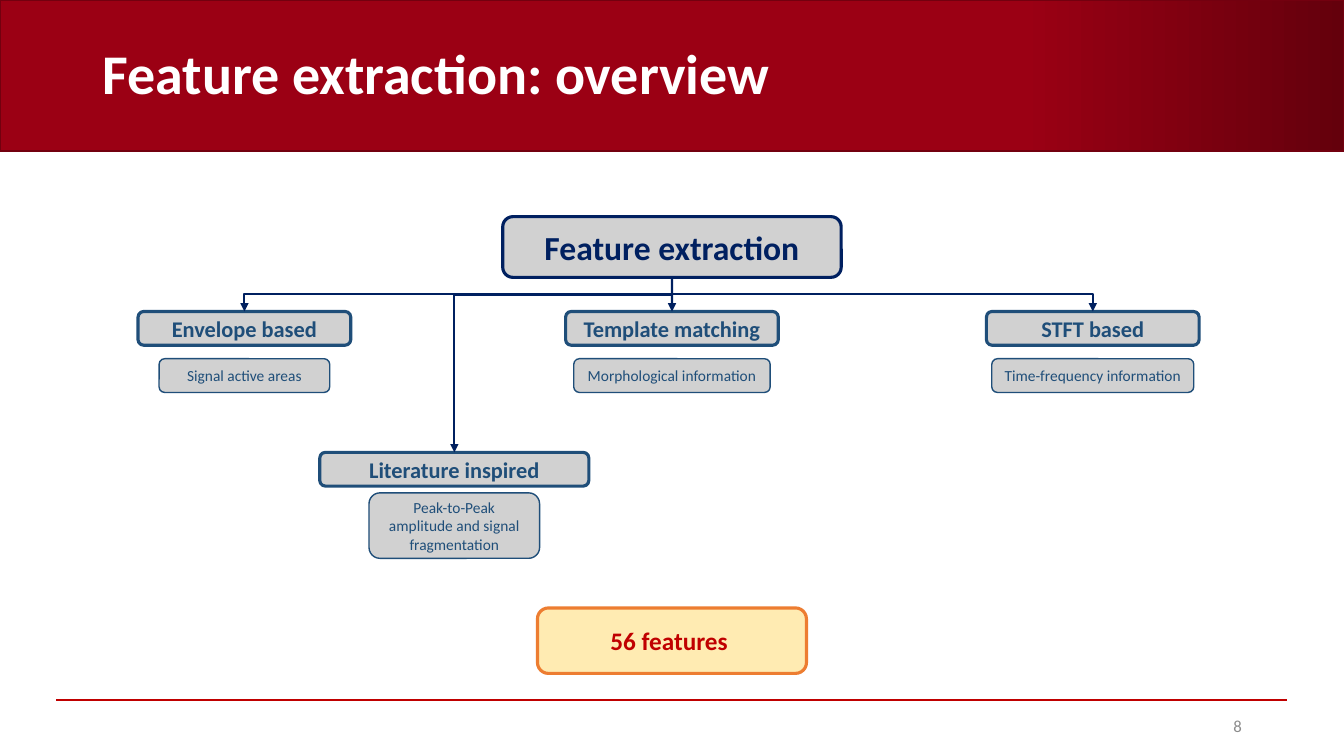
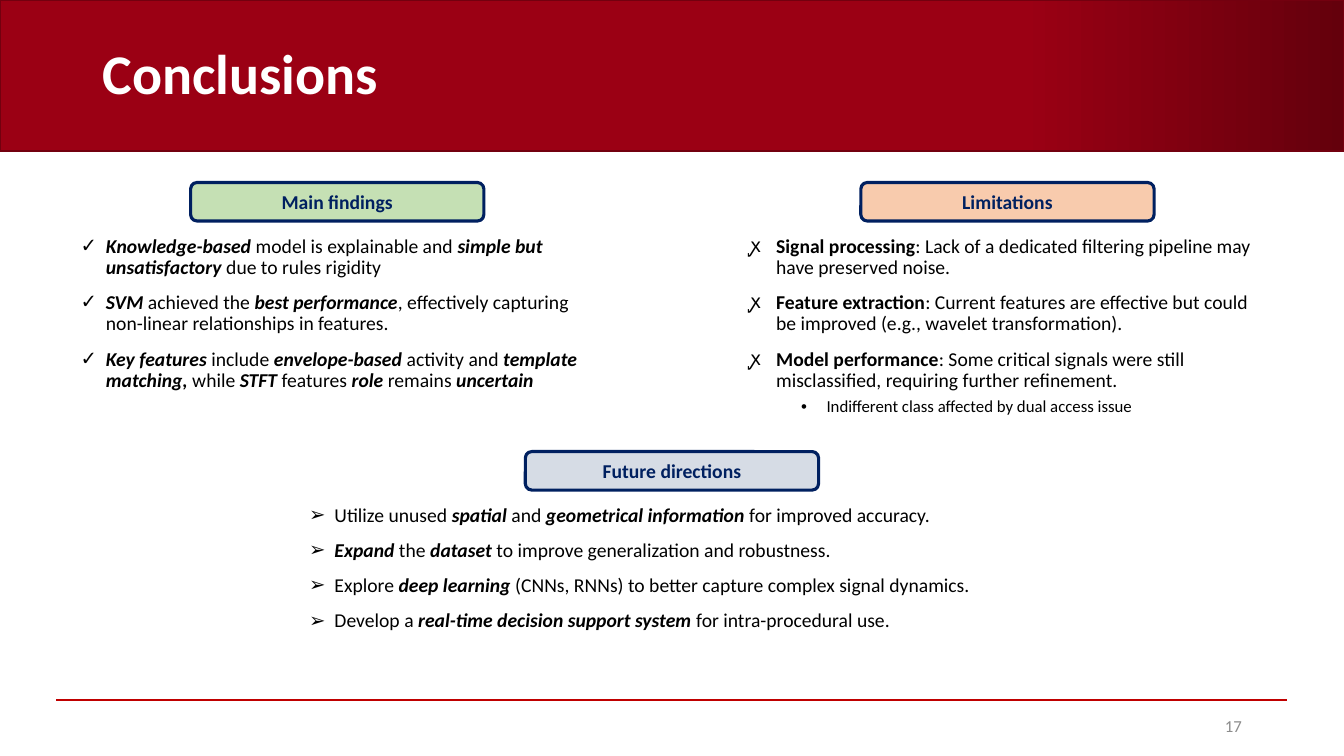
"""Build two slides: a feature extraction overview and the conclusions."""
import pptx
import pptx.dml.color
import pptx.enum.shapes
import pptx.enum.text
import pptx.oxml
import pptx.oxml.ns
import pptx.util
from dataclasses import dataclass
from lxml import etree

Cm, Pt = pptx.util.Cm, pptx.util.Pt
RGB = pptx.dml.color.RGBColor.from_string
qn = pptx.oxml.ns.qn
SHAPE = pptx.enum.shapes.MSO_SHAPE
CONNECTOR = pptx.enum.shapes.MSO_CONNECTOR
ALIGN = pptx.enum.text.PP_ALIGN
MIDDLE = pptx.enum.text.MSO_ANCHOR.MIDDLE


@dataclass(frozen=True)
class Theme:
    font: str = "Calibri"
    white: str = "FFFFFF"
    black: str = "000000"
    band: str = "9B0014"
    band_dark: str = "64000C"
    band_line: str = "73000F"
    red: str = "C00000"
    number: str = "8C8C8C"
    navy: str = "002060"
    blue: str = "1F4E79"
    grey: str = "A5A5A5"
    gold: str = "FFD966"
    orange: str = "ED7D31"
    green: str = "C5E0B4"
    peach: str = "F8CBAD"
    pale_blue: str = "D6DCE5"
    title_size: int = 40
    root_size: int = 24
    result_size: int = 18
    branch_size: int = 16
    body_size: int = 14
    small_size: int = 12
    note_size: int = 11
    thick: float = 2.25
    medium: float = 1.5
    thin: float = 1


class Deck:
    width, height = 33.87, 19.05
    center = width / 2

    def __init__(self, theme):
        self.t = theme
        self.prs = pptx.Presentation()
        self.prs.slide_width, self.prs.slide_height = Cm(self.width), Cm(self.height)
        self.s = None

    def style(self, font, size, color, bold=False, italic=False):
        font.name, font.size = self.t.font, Pt(size)
        font.bold, font.italic = bold, italic
        font.color.rgb = RGB(color)

    def slide(self, title, number):
        t = self.t
        self.s = self.prs.slides.add_slide(self.prs.slide_layouts[6])
        sp = self.s.shapes.add_shape(SHAPE.RECTANGLE, 0, 0, Cm(self.width), Cm(3.81))
        sp.shadow.inherit = False
        sp.fill.gradient()
        sp.fill.gradient_angle = 0
        for stop, position, color in zip(sp.fill.gradient_stops, (0.76, 1), (t.band, t.band_dark)):
            stop.position = position
            stop.color.rgb = RGB(color)
        sp.line.color.rgb, sp.line.width = RGB(t.band_line), Pt(t.thin)
        self.connector(CONNECTOR.STRAIGHT, t.red, (1.42, 17.63, 32.44, 17.63))
        p = self.label(title, 2.34, 0.58, 27.51, 2.69, t.title_size, t.white, bold=True)
        p.line_spacing = 0.9
        p = self.label(number, 23.93, 17.78, 7.62, 1.02, t.small_size, t.number)
        p.alignment = ALIGN.RIGHT

    def frame(self, x, y, w, h):
        tf = self.s.shapes.add_textbox(Cm(x), Cm(y), Cm(w), Cm(h)).text_frame
        tf.word_wrap = True
        return tf

    def label(self, text, x, y, w, h, size, color, bold=False):
        tf = self.frame(x, y, w, h)
        tf.text = text
        tf.vertical_anchor = MIDDLE
        p = tf.paragraphs[0]
        self.style(p.runs[0].font, size, color, bold)
        return p

    def box(self, text, cx, y, w, h, fill, line, color, size, weight=None, bold=True, alpha=None):
        sp = self.s.shapes.add_shape(SHAPE.ROUNDED_RECTANGLE, Cm(cx - w / 2), Cm(y), Cm(w), Cm(h))
        sp.shadow.inherit = False
        sp.fill.solid()
        sp.fill.fore_color.rgb = RGB(fill)
        if alpha:
            clr = sp._element.spPr.find(qn("a:solidFill")).find(qn("a:srgbClr"))
            etree.SubElement(clr, qn("a:alpha")).set("val", str(alpha * 1000))
        sp.line.color.rgb, sp.line.width = RGB(line), Pt(weight or self.t.thick)
        tf = sp.text_frame
        tf.word_wrap = True
        tf.vertical_anchor = MIDDLE
        tf.text = text
        p = tf.paragraphs[0]
        p.alignment = ALIGN.CENTER
        self.style(p.runs[0].font, size, color, bold)
        return sp

    def node(self, text, cx, y, w, h, size, color, **options):
        return self.box(text, cx, y, w, h, self.t.grey, color, color, size, alpha=50, **options)

    def branch(self, text, cx, y, w, note, note_y, note_w, note_h):
        t = self.t
        self.node(note, cx, note_y, note_w, note_h, t.note_size, t.blue, weight=t.thin, bold=False)
        return self.node(text, cx, y, w, 0.85, t.branch_size, t.blue)

    def connector(self, kind, color, ends):
        c = self.s.shapes.add_connector(kind, *map(Cm, ends))
        c.line.color.rgb, c.line.width = RGB(color), Pt(self.t.medium)
        etree.SubElement(c._element.spPr, qn("a:effectLst"))
        return c

    def arrow(self, parent, child, bus):
        x1, y1 = parent.left + parent.width // 2, parent.top + parent.height
        x2, y2 = child.left + child.width // 2, child.top
        straight = abs(x2 - x1) < Cm(0.05)
        kind = CONNECTOR.STRAIGHT if straight else CONNECTOR.ELBOW
        c = self.connector(kind, self.t.navy, (0, 0, 1, 1))
        c.begin_connect(parent, 2)
        c.end_connect(child, 0)
        tail = etree.SubElement(c.line._get_or_add_ln(), qn("a:tailEnd"))
        tail.set("type", "triangle")
        if straight:
            return
        drop, run = y2 - y1, abs(x2 - x1)
        c.left, c.top = (x1 + x2 - drop) // 2, (y1 + y2 - run) // 2
        c.width, c.height = drop, run
        xfrm = c._element.spPr.find(qn("a:xfrm"))
        xfrm.set("rot", "5400000" if x2 < x1 else "16200000")
        xfrm.set("flipH", "0" if x2 < x1 else "1")
        xfrm.set("flipV", "0")
        guide = etree.SubElement(c._element.spPr.find(qn("a:prstGeom")).find(qn("a:avLst")), qn("a:gd"))
        guide.set("name", "adj1")
        guide.set("fmla", f"val {round(Cm(bus) / drop * 100000)}")

    def bullets(self, items, mark, x, y, w, h, italic=True):
        tf = self.frame(x, y, w, h)
        for i, text in enumerate(items):
            p = tf.add_paragraph() if i else tf.paragraphs[0]
            self.bullet(p, text, mark, 0.64, self.t.body_size, 10 if i else 0, italic)
        return tf

    def bullet(self, p, text, mark, indent, size, before, italic=False):
        pPr = p._p.get_or_add_pPr()
        pPr.set("marL", str(Cm(indent)))
        pPr.set("indent", str(-Cm(0.64)))
        etree.SubElement(pPr, qn("a:buFont")).set("typeface", "Arial")
        etree.SubElement(pPr, qn("a:buChar")).set("char", mark)
        p.line_spacing, p.space_before = 0.9, Pt(before)
        for i, part in enumerate(text.split("*")):
            if part:
                r = p.add_run()
                r.text = part
                strong = i % 2 == 1
                self.style(r.font, size, self.t.black, strong, strong and italic)

    def section(self, text, cx, y, fill):
        self.box(text, cx, y, 7.39, 0.97, fill, self.t.navy, self.t.navy, self.t.body_size)

    def overview(self):
        t = self.t
        self.slide("Feature extraction: overview", "8")
        root = self.node("Feature extraction", self.center, 5.46, 8.53, 1.53, t.root_size, t.navy)
        children = [
            self.branch(text, cx, 7.85, 5.36, note, 9.04, note_w, 0.85)
            for text, cx, note, note_w in (
                ("Envelope based", 6.16, "Signal active areas", 4.3),
                ("Template matching", self.center, "Morphological information", 4.95),
                ("STFT based", 27.54, "Time-frequency information", 5.09),
            )
        ]
        children.append(self.branch("Literature inspired", 11.45, 11.4, 6.78,
                                    "Peak-to-Peak amplitude and signal fragmentation", 12.42, 4.3, 1.65))
        for child in children:
            self.arrow(root, child, 0.43)
        self.box("56 features ", self.center, 15.32, 6.78, 1.65, t.gold, t.orange, t.red,
                 t.result_size, alpha=50)

    def conclusions(self):
        t = self.t
        top, low, gap = 4.6, 11.38, 1.23
        self.slide("Conclusions", "17")
        self.section("Main findings", 8.5, top, t.green)
        self.bullets((
            "*Knowledge-based* model is explainable and *simple but unsatisfactory *due to rules rigidity",
            "*SVM* achieved the *best performance*, effectively capturing non-linear relationships in features.",
            "*Key features* include *envelope-based* activity and *template matching, *while* STFT *features"
            "* role *remains* uncertain*",
        ), "✓", 1.78, top + gap, 13.41, 4.37)
        self.section("Limitations", 25.39, top, t.peach)
        tf = self.bullets((
            "*Signal processing*: Lack of a dedicated filtering pipeline may have preserved noise.",
            "*Feature extraction*: Current features are effective but could be improved "
            "(e.g., wavelet transformation).",
            "*Model performance*: Some critical signals were still misclassified, requiring further refinement.",
        ), "ꭙ", 18.67, top + gap, 13.41, 5.33, italic=False)
        p = tf.add_paragraph()
        p.level = 1
        self.bullet(p, "Indifferent class affected by dual access issue", "•", 1.91, t.small_size, 5)
        self.section("Future directions", self.center, low, t.pale_blue)
        self.bullets((
            "Utilize unused *spatial* and *geometrical information* for improved accuracy.",
            "*Expand* the *dataset* to improve generalization and robustness.",
            "Explore *deep learning* (CNNs, RNNs) to better capture complex signal dynamics.",
            "Develop a *real-time decision support system* for intra-procedural use.",
        ), "➢", 7.54, low + gap, 18.77, 4.45)


def main():
    deck = Deck(Theme())
    deck.overview()
    deck.conclusions()
    deck.prs.save("out.pptx")


if __name__ == "__main__":
    main()
